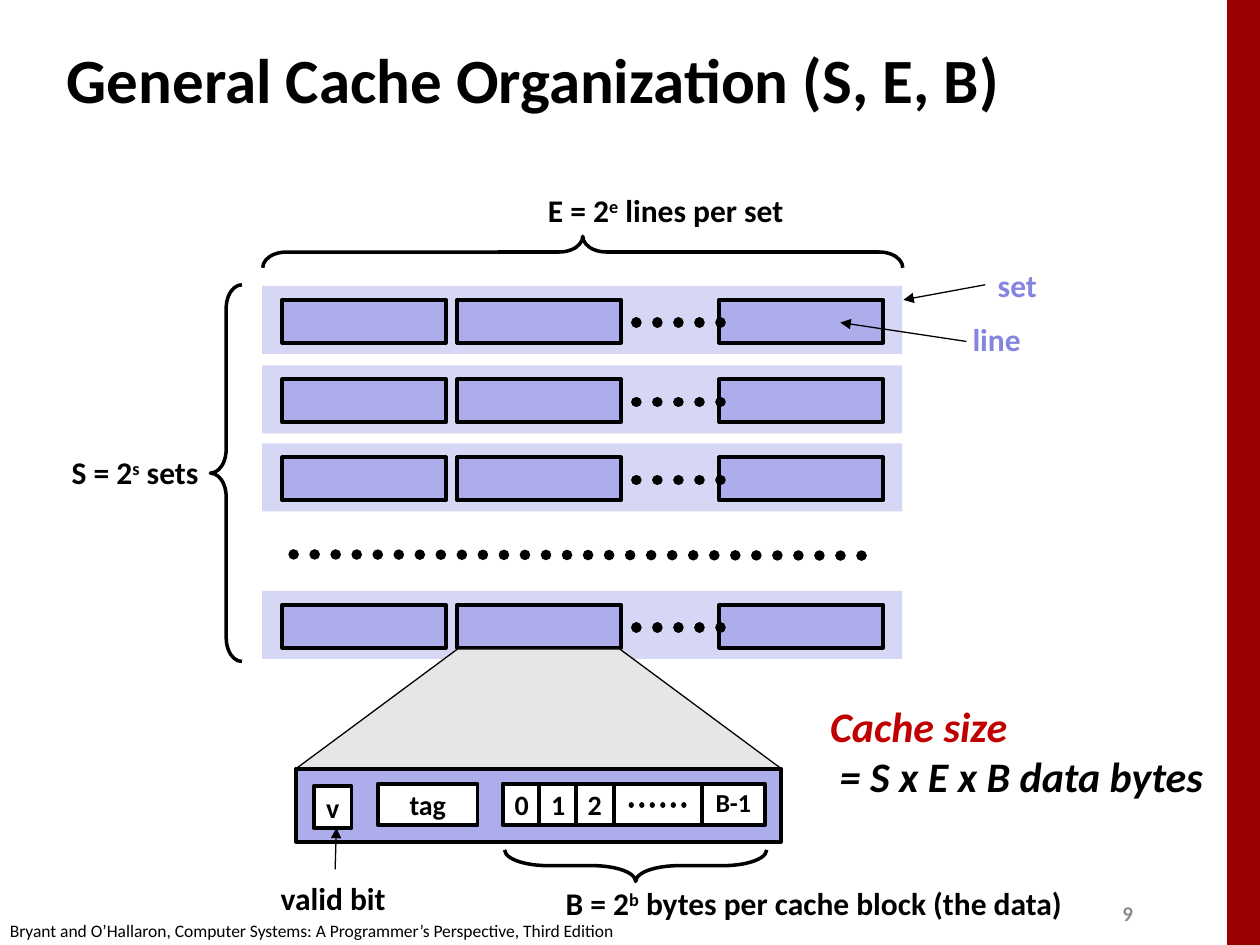
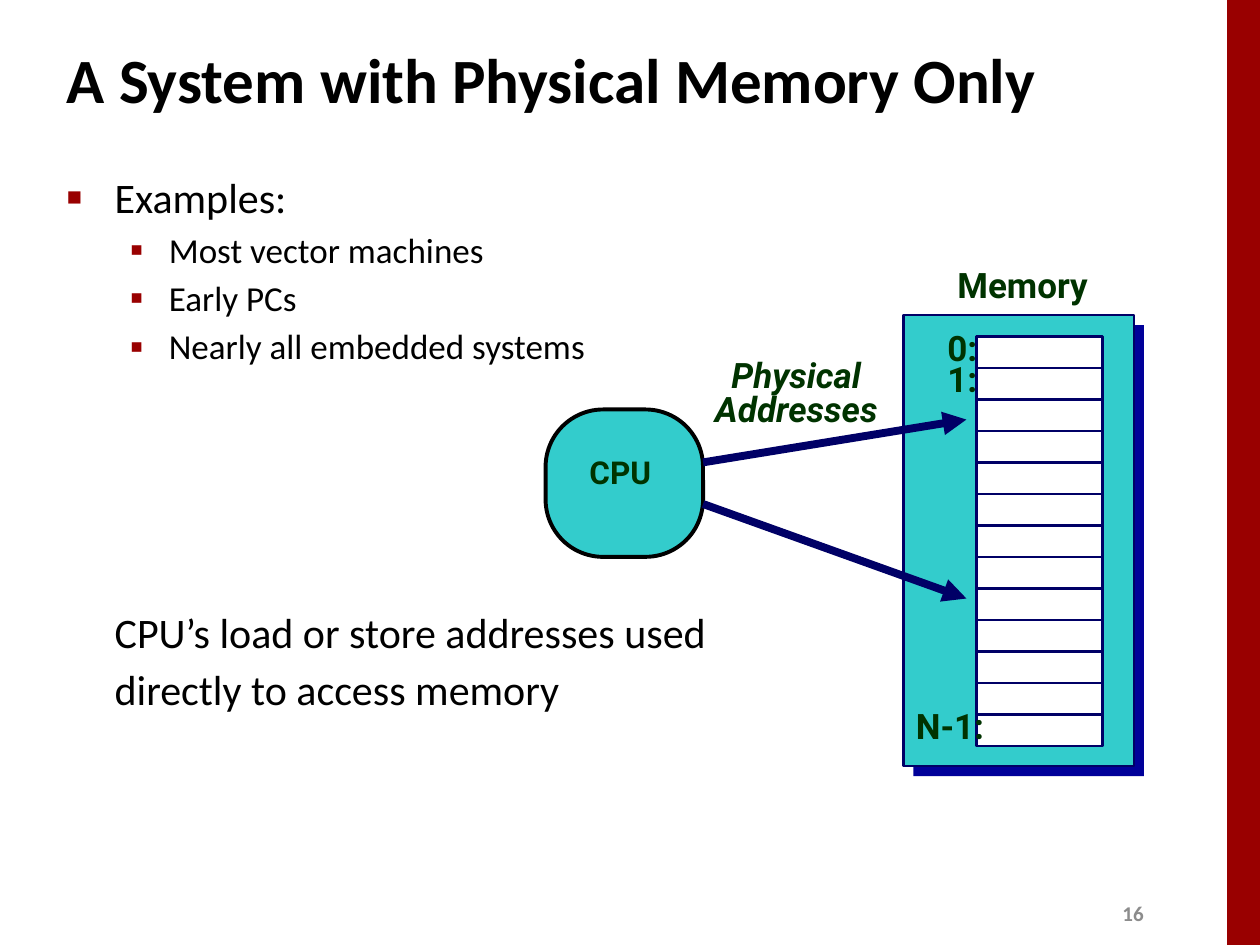
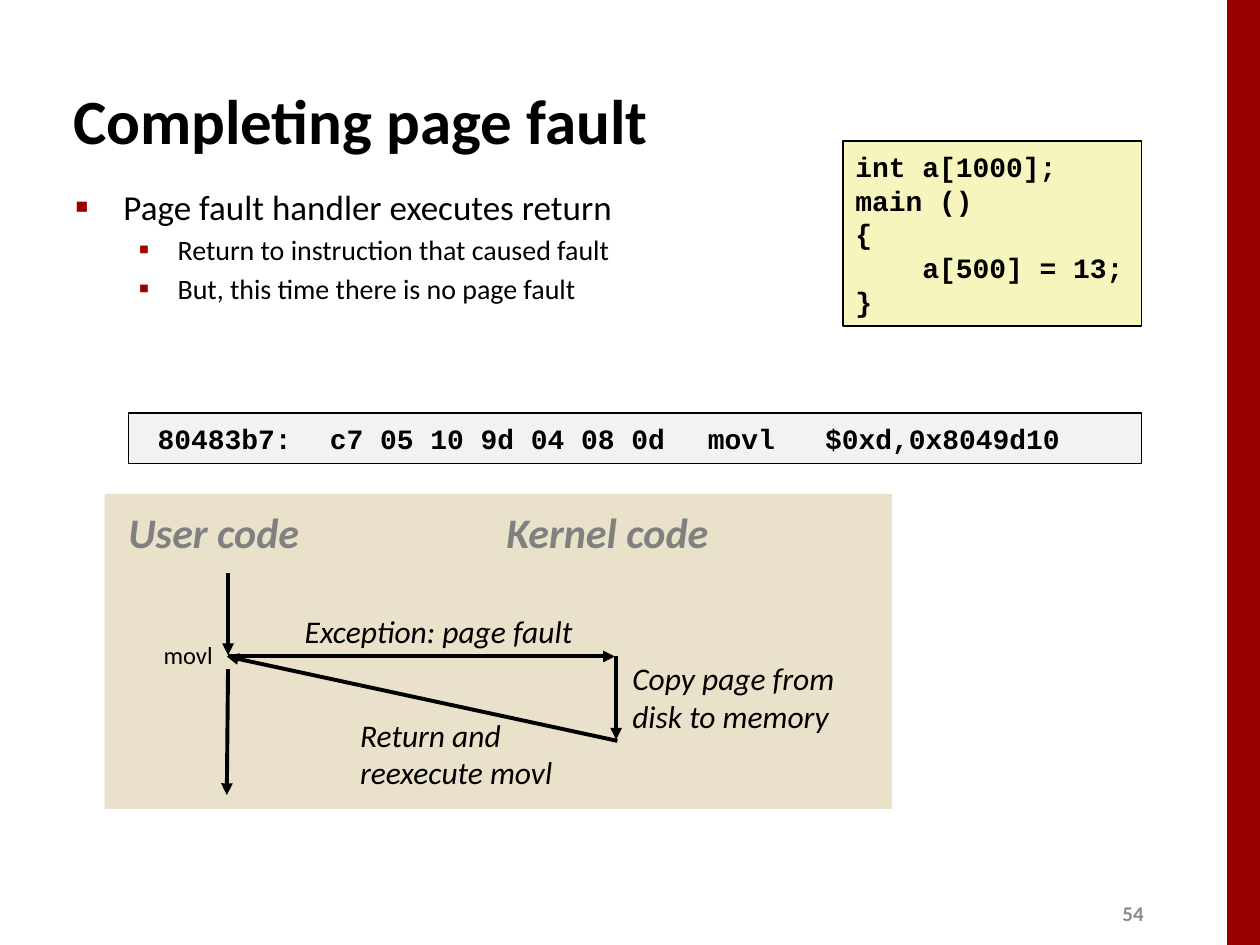
"""Build three lecture slides on caches, physical memory and page faults."""
from dataclasses import dataclass

from lxml import etree
from pptx import Presentation
from pptx.dml.color import RGBColor
from pptx.enum.dml import MSO_LINE
from pptx.enum.shapes import MSO_CONNECTOR, MSO_SHAPE
from pptx.enum.text import MSO_ANCHOR, MSO_AUTO_SIZE, PP_ALIGN
from pptx.oxml.ns import qn
from pptx.util import Inches, Pt

RECTANGLE = MSO_SHAPE.RECTANGLE
BRACE = MSO_SHAPE.LEFT_BRACE
LEFT, CENTER = PP_ALIGN.LEFT, PP_ALIGN.CENTER


@dataclass(frozen=True)
class Theme:
    """Colours, fonts and type sizes of the deck."""
    ink: str = "000000"
    paper: str = "FFFFFF"
    crimson: str = "990000"
    red: str = "C00000"
    number_gray: str = "8C8C8C"
    heading_gray: str = "808080"
    set_fill: str = "D6D6F5"
    line_fill: str = "ADADEB"
    callout: str = "8585E0"
    zoom_fill: str = "E6E6E6"
    teal: str = "33CCCC"
    navy: str = "000066"
    shade: str = "000099"
    green: str = "003300"
    sand: str = "E9E1C9"
    code_fill: str = "F6F5BD"
    assembly_fill: str = "F2F2F2"
    sans: str = "Calibri"
    mono: str = "Courier New"
    diagram: str = "Roboto"
    title: float = 36
    large: float = 24
    medium: float = 20
    normal: float = 18
    small: float = 16
    byte: float = 14.8
    tiny: float = 14
    number: float = 12
    credit: float = 10


theme = Theme()
STYLES = {
    "title": (theme.ink, theme.sans, theme.title, "b", LEFT, 1),
    "number": (theme.number_gray, theme.sans, theme.number, "b", LEFT, 1),
    "label": (theme.ink, theme.sans, theme.normal, "b", LEFT, 1),
    "callout": (theme.callout, theme.sans, theme.normal, "b", LEFT, 1),
    "field": (theme.ink, theme.sans, theme.small, "b", CENTER, 1),
    "byte": (theme.ink, theme.sans, theme.byte, "b", CENTER, 0.9),
    "formula": (theme.ink, theme.sans, theme.large, "bi", LEFT, 1),
    "credit": (theme.ink, theme.sans, theme.credit, "", LEFT, 1),
    "cpu": (theme.green, theme.diagram, theme.normal, "b", LEFT, 0.9),
    "memory": (theme.green, theme.diagram, theme.medium, "b", LEFT, 0.9),
    "addresses": (theme.green, theme.diagram, theme.medium, "bi", CENTER, 0.8),
    "code": (theme.ink, theme.mono, theme.small, "b", LEFT, 1),
    "heading": (theme.heading_gray, theme.sans, theme.large, "bi", LEFT, 1),
    "step": (theme.ink, theme.sans, theme.normal, "i", LEFT, 1),
    "instruction": (theme.ink, theme.sans, theme.tiny, "", LEFT, 1),
    "body 24": (theme.ink, theme.sans, theme.large, "", LEFT, 1),
    "body 20": (theme.ink, theme.sans, theme.medium, "", LEFT, 1),
    "body 16": (theme.ink, theme.sans, theme.small, "", LEFT, 1),
}

presentation = Presentation()
presentation.slide_width, presentation.slide_height = Inches(10), Inches(7.5)
COLUMN = presentation.slide_width / 10
ROW = presentation.slide_height / 7.5


def write(frame, text, style):
    """Fill a text frame line by line; text between bars is superscript."""
    color, name, size, emphasis, alignment, spacing = STYLES[style]
    font_format = {"name": name, "size": Pt(size), "bold": "b" in emphasis, "italic": "i" in emphasis}
    for index, line in enumerate(text.split("\n")):
        paragraph = frame.add_paragraph() if index else frame.paragraphs[0]
        paragraph.alignment, paragraph.line_spacing = alignment, spacing
        for part, words in enumerate(line.split("|")):
            run = paragraph.add_run()
            run.text = words
            for attribute, value in font_format.items():
                setattr(run.font, attribute, value)
            run.font.color.rgb = RGBColor.from_string(color)
            if part % 2:
                run.font._element.set("baseline", "30000")


def draw(slide, kind, place, fill=None, outline=None, width=1.0, text=None, style="field"):
    """Add a preset shape at a place given in columns and rows."""
    left, top, across, down = place
    shape = slide.shapes.add_shape(
        kind, round(left * COLUMN), round(top * ROW), round(across * COLUMN), round(down * ROW))
    shape.shadow.inherit = False
    if fill:
        shape.fill.solid()
        shape.fill.fore_color.rgb = RGBColor.from_string(fill)
    else:
        shape.fill.background()
    if outline:
        shape.line.color.rgb = RGBColor.from_string(outline)
        shape.line.width = Pt(width)
    else:
        shape.line.fill.background()
    if text:
        shape.text_frame.word_wrap = False
        write(shape.text_frame, text, style)
    return shape


slides = []
for layout, title, number, place in (
    (5, "General Cache Organization (S, E, B)", "9", (0.43, 0.21, 8.3, 0.83)),
    (1, "A System with Physical Memory Only", "16", (0.43, 0.21, 8.3, 0.83)),
    (1, "Completing page fault", "54", (0.48, 0.64, 8.63, 0.61)),
):
    slide = presentation.slides.add_slide(presentation.slide_layouts[layout])
    slides.append(slide)
    draw(slide, RECTANGLE, (9.74, 0, 0.26, 7.5), theme.crimson)
    heading = slide.shapes.title
    for attribute, share in zip(("left", "top", "width", "height"), place):
        setattr(heading, attribute, round(share * COLUMN))
    heading.text_frame.auto_size = MSO_AUTO_SIZE.NONE
    heading.text_frame.vertical_anchor = MSO_ANCHOR.MIDDLE
    write(heading.text_frame, title, "title")
cache, memory, fault = slides

for slide, place, large, small, items in (
    (memory, (0.43, 1.31, 8.64, 5.67), 24, 20, (
        (0, "Examples:", True, 0),
        (1, "Most vector machines", True, 3.6),
        (1, "Early PCs", True, 3.6),
        (1, "Nearly all embedded systems", True, 3.6),
        (0, "CPU’s load or store addresses used", False, 137),
        (0, "directly to access memory", False, 4))),
    (fault, (0.5, 1.42, 5.92, 1.95), 20, 16, (
        (0, "Page fault handler executes return", True, 0),
        (1, "Return to instruction that caused fault", True, 3),
        (1, "But, this time there is no page fault", True, 3))),
):
    body = slide.placeholders[1]
    for attribute, share in zip(("left", "top", "width", "height"), place):
        setattr(body, attribute, round(share * COLUMN))
    frame = body.text_frame
    frame.auto_size = MSO_AUTO_SIZE.NONE
    for index, (level, text, marked, gap) in enumerate(items):
        paragraph = frame.add_paragraph() if index else frame.paragraphs[0]
        paragraph.level = level
        properties = paragraph._p.get_or_add_pPr()
        margin, hanging = ((0.38, -0.38), (0.81, -0.31))[level]
        properties.set("marL", str(Inches(margin)))
        properties.set("indent", str(Inches(hanging if marked else 0)))
        if marked:
            mark, scale = (("■", "60000"), ("▪", "110000"))[level]
            color = etree.SubElement(properties, qn("a:buClr"))
            etree.SubElement(color, qn("a:srgbClr"), val=theme.crimson)
            etree.SubElement(properties, qn("a:buSzPct"), val=scale)
            etree.SubElement(properties, qn("a:buFont"), typeface="Arial")
            etree.SubElement(properties, qn("a:buChar"), char=mark)
        else:
            etree.SubElement(properties, qn("a:buNone"))
        paragraph.space_before = Pt(gap)
        color, name, size, *_ = STYLES[f"body {small if level else large}"]
        run = paragraph.add_run()
        run.text = text
        for attribute, value in {"name": name, "size": Pt(size)}.items():
            setattr(run.font, attribute, value)
        run.font.color.rgb = RGBColor.from_string(color)

connectors = []
for top in (2.27, 2.9, 3.52, 4.69):
    draw(cache, RECTANGLE, (2.08, top, 5.08, 0.54), theme.set_fill)
    for left in (2.24, 3.63, 5.71):
        draw(cache, RECTANGLE, (left, top + 0.11, 1.3, 0.34), theme.line_fill, theme.ink, 2.25)
    connectors.append((cache, (5.05, top + 0.29), (5.72, top + 0.29), theme.ink, 6, True))

for place, rotation, curve in (
    ((4.5, -0.54, 0.25, 5.08), 90, 0.75),
    ((1.67, 2.26, 0.25, 2.99), 0, 0.75),
    ((4.92, 5.83, 0.25, 2.08), 270, 1.37),
):
    brace = draw(cache, BRACE, place, None, theme.ink, 2)
    brace.rotation = rotation
    brace.adjustments[0] = curve

zoom = draw(cache, MSO_SHAPE.TRAPEZOID, (2.35, 5.15, 3.85, 0.95), theme.zoom_fill, theme.ink, 0.75)
zoom.adjustments[0] = 1.35
draw(cache, RECTANGLE, (2.35, 6.1, 3.85, 0.58), theme.line_fill, theme.ink, 2.25)
for left, top, across, text, style in (
    (2.49, 6.24, 0.3, "v", "field"),
    (3, 6.22, 0.79, "tag", "field"),
    (3.99, 6.22, 0.3, "0", "field"),
    (4.28, 6.22, 0.3, "1", "field"),
    (4.57, 6.22, 0.3, "2", "field"),
    (5.57, 6.22, 0.5, "B-1", "byte"),
    (4.87, 6.22, 0.7, None, "field"),
):
    draw(cache, RECTANGLE, (left, top, across, 0.33), theme.paper, theme.ink, 2.25, text, style)

cpu = draw(memory, MSO_SHAPE.ROUNDED_RECTANGLE, (4.33, 3.25, 1.25, 1.17), theme.teal, theme.ink, 2.25)
cpu.adjustments[0] = 0.39
draw(memory, RECTANGLE, (7.25, 2.58, 1.83, 3.58), theme.shade)
draw(memory, RECTANGLE, (7.17, 2.5, 1.83, 3.58), theme.teal, theme.navy, 1.5)
for cell in range(13):
    draw(memory, RECTANGLE, (7.75, 2.67 + 0.25 * cell, 1, 0.25), theme.paper, theme.navy, 1.5)

draw(fault, RECTANGLE, (0.83, 3.92, 6.25, 2.5), theme.sand)
draw(fault, RECTANGLE, (6.69, 1.12, 2.37, 1.47), theme.code_fill, theme.ink, 1,
     "int a[1000];\nmain ()\n{\n    a[500] = 13;\n}", "code")
draw(fault, RECTANGLE, (1.02, 3.28, 8.04, 0.4), theme.assembly_fill, theme.ink, 1,
     " 80483b7:\tc7 05 10 9d 04 08 0d \tmovl   $0xd,0x8049d10", "code")

connectors += [
    (cache, (2.33, 4.4), (7, 4.41), theme.ink, 6, True),
    (cache, (5.01, 6.39), (5.51, 6.39), theme.ink, 3, True),
    (cache, (7.82, 2.26), (7.17, 2.38), theme.ink, 0.75, False),
    (cache, (7.67, 2.71), (6.67, 2.56), theme.ink, 0.75, False),
    (cache, (2.66, 6.9), (2.67, 6.57), theme.ink, 0.75, False),
    (memory, (5.58, 3.67), (7.67, 3.33), theme.navy, 4.5, False),
    (memory, (5.58, 4), (7.67, 4.75), theme.navy, 4.5, False),
    (fault, (1.81, 4.55), (1.81, 5.2), theme.ink, 2.25, False),
    (fault, (1.81, 5.21), (4.88, 5.21), theme.ink, 2.25, False),
    (fault, (4.89, 5.21), (4.89, 5.87), theme.ink, 2.25, False),
    (fault, (4.9, 5.88), (1.8, 5.21), theme.ink, 2.25, False),
    (fault, (1.81, 5.31), (1.8, 6.31), theme.ink, 2.25, False),
]
for slide, start, end, color, width, dotted in connectors:
    connector = slide.shapes.add_connector(
        MSO_CONNECTOR.STRAIGHT, round(start[0] * COLUMN), round(start[1] * ROW),
        round(end[0] * COLUMN), round(end[1] * ROW))
    connector.line.color.rgb = RGBColor.from_string(color)
    connector.line.width = Pt(width)
    properties = connector.element.spPr
    stroke = properties.get_or_add_ln()
    if dotted:
        connector.line.dash_style = MSO_LINE.ROUND_DOT
        stroke.set("cap", "rnd")
    else:
        etree.SubElement(stroke, qn("a:tailEnd"), type="triangle")
    etree.SubElement(properties, qn("a:effectLst"))

labels = [
    (cache, (4.25, 1.47, 2.14, 0.4), "E = 2|e| lines per set", "label", False),
    (cache, (0.47, 3.55, 1.23, 0.4), "S = 2|s| sets", "label", False),
    (cache, (7.82, 2.06, 0.51, 0.4), "set", "callout", False),
    (cache, (7.62, 2.49, 0.59, 0.4), "line", "callout", False),
    (cache, (4.39, 6.97, 4.29, 0.4), "B = 2|b| bytes per cache block (the data)", "label", False),
    (cache, (2.13, 6.93, 1.04, 0.4), "valid bit", "label", False),
    (cache, (-0.02, 7.25, 5.08, 0.27),
     "Bryant and O’Hallaron, Computer Systems: A Programmer’s Perspective, Third Edition", "credit", False),
    (cache, (6.49, 5.51, 3.18, 0.91), "Cache size\n = S x E x B data bytes", "formula", False),
    (memory, (4.58, 3.58, 0.73, 0.37), "CPU", "cpu", False),
    (memory, (7.42, 2.58, 0.45, 0.4), "0:", "memory", False),
    (memory, (7.42, 2.83, 0.45, 0.4), "1:", "memory", False),
    (memory, (7.17, 5.58, 0.74, 0.4), "N-1:", "memory", False),
    (memory, (7.5, 2.08, 1.27, 0.4), "Memory", "memory", False),
    (memory, (5.5, 2.82, 1.64, 0.65), "Physical\nAddresses", "addresses", False),
    (fault, (0.92, 3.97, 1.65, 0.5), "User code", "heading", False),
    (fault, (3.92, 3.97, 1.91, 0.5), "Kernel code", "heading", False),
    (fault, (2.32, 4.81, 2.42, 0.4), "Exception: page fault", "step", False),
    (fault, (4.92, 5.18, 2.16, 0.7), "Copy page from disk to memory", "step", True),
    (fault, (2.76, 5.63, 1.99, 0.7), "Return and reexecute movl", "step", True),
    (fault, (1.2, 5.03, 0.6, 0.34), "movl", "instruction", False),
]
for slide, number in zip(slides, ("9", "16", "54")):
    labels.append((slide, (8.81, 7.1, 0.4, 0.3), number, "number", True))
for slide, (left, top, across, down), text, style, wraps in labels:
    box = slide.shapes.add_textbox(
        round(left * COLUMN), round(top * ROW), round(across * COLUMN), round(down * ROW))
    box.text_frame.word_wrap = wraps
    box.text_frame.auto_size = MSO_AUTO_SIZE.SHAPE_TO_FIT_TEXT
    write(box.text_frame, text, style)
    if style == "formula":
        box.text_frame.paragraphs[0].runs[0].font.color.rgb = RGBColor.from_string(theme.red)

presentation.save("out.pptx")
